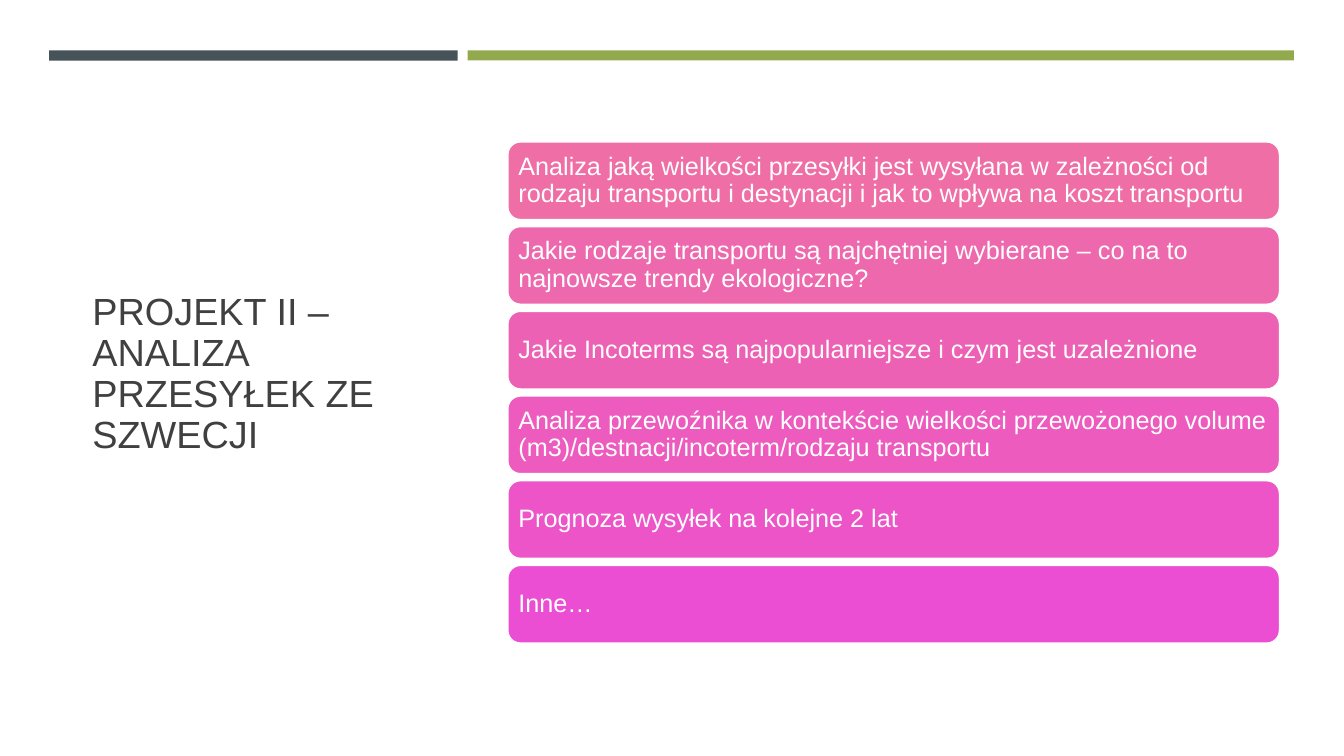
from dataclasses import dataclass

from pptx import Presentation
from pptx.dml.color import RGBColor
from pptx.enum import shapes, text
from pptx.util import Pt

HUES = {"white": "FFFFFF", "title": "404040", "slate": "465359", "green": "93A94E"}
FONT = "Arial"


@dataclass
class Box:
    left: float
    top: float
    width: float
    height: float


@dataclass
class Bar:
    box: Box
    fill: str


@dataclass
class Card:
    words: str
    fill: str


TITLE = "PROJEKT II – ANALIZA PRZESYŁEK ZE SZWECJI"
BARS = [
    Bar(Box(35.1, 36, 291.8, 7.4), HUES["slate"]),
    Bar(Box(334.1, 36, 590.2, 7.2), HUES["green"]),
]
CARDS = [
    Card("Analiza jaką wielkości przesyłki jest wysyłana w zależności od rodzaju "
         "transportu i destynacji i jak to wpływa na koszt transportu", "EE6EA5"),
    Card("Jakie rodzaje transportu są najchętniej wybierane – co na to najnowsze "
         "trendy ekologiczne?", "ED68AC"),
    Card("Jakie Incoterms są najpopularniejsze i czym jest uzależnione", "ED61B4"),
    Card("Analiza przewoźnika w kontekście wielkości przewożonego volume "
         "(m3)/destnacji/incoterm/rodzaju transportu", "EC5BBD"),
    Card("Prognoza wysyłek na kolejne 2 lat", "EC54C7"),
    Card("Inne…", "EB4ED2"),
]
FIRST = Box(362.4, 101, 551.9, 56.2)
PITCH = 60.5


def place(box: Box) -> list[int]:
    return [Pt(n) for n in (box.left, box.top, box.width, box.height)]


def draw(slide, kind, box: Box, fill: str):
    shape = slide.shapes.add_shape(kind, *place(box))
    shape.shadow.inherit = False
    shape.fill.solid()
    shape.fill.fore_color.rgb = RGBColor.from_string(fill)
    shape.line.fill.background()
    return shape


def write(shape, words: str, size: float, hue: str) -> None:
    frame = shape.text_frame
    frame.word_wrap = True
    frame.vertical_anchor = text.MSO_ANCHOR.MIDDLE
    para = frame.paragraphs[0]
    para.text = words
    para.alignment = text.PP_ALIGN.LEFT
    para.line_spacing = 0.9
    para.font.name = FONT
    para.font.size = Pt(size)
    para.font.color.rgb = RGBColor.from_string(hue)


def add_card(slide, card: Card, row: int) -> None:
    box = Box(FIRST.left, FIRST.top + row * PITCH, FIRST.width, FIRST.height)
    shape = draw(slide, shapes.MSO_SHAPE.ROUNDED_RECTANGLE, box, card.fill)
    shape.line.color.rgb = RGBColor.from_string(HUES["white"])
    shape.line.width = Pt(1.75)
    write(shape, card.words, 18, HUES["white"])
    frame = shape.text_frame
    frame.margin_left = frame.margin_right = Pt(5.2)
    frame.margin_top = frame.margin_bottom = Pt(5)


def main() -> None:
    deck = Presentation()
    deck.slide_width, deck.slide_height = Pt(960), Pt(540)
    slide = deck.slides.add_slide(deck.slide_layouts[6])

    # Background
    slide.background.fill.solid()
    slide.background.fill.fore_color.rgb = RGBColor.from_string(HUES["white"])

    # Title
    head = slide.shapes.add_textbox(*place(Box(59, 82.1, 240.5, 370.8)))
    write(head, TITLE, 27, HUES["title"])

    # Top bars
    for bar in BARS:
        draw(slide, shapes.MSO_SHAPE.RECTANGLE, bar.box, bar.fill)

    # Topic cards
    for row, card in enumerate(CARDS):
        add_card(slide, card, row)

    deck.save("out.pptx")


if __name__ == "__main__":
    main()
